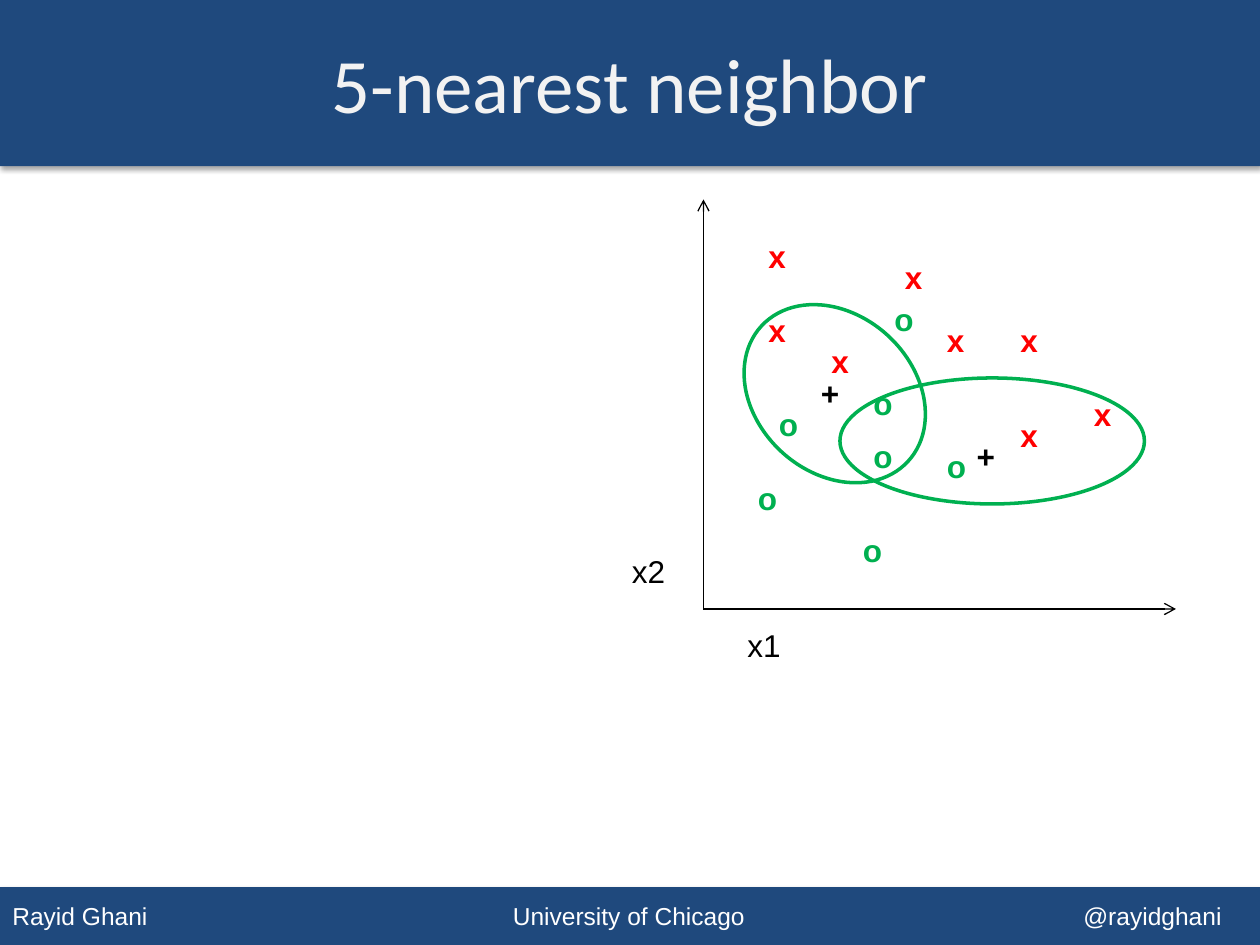
"""Build the 5-nearest neighbor slide."""
from dataclasses import dataclass

from lxml.etree import SubElement as Sub
from pptx import Presentation as Deck
from pptx.dml.color import RGBColor as Rgb
from pptx.enum.shapes import MSO_CONNECTOR as Link, MSO_SHAPE as Kind
from pptx.enum.text import MSO_ANCHOR as Anchor, MSO_AUTO_SIZE as Fit, PP_ALIGN as Align
from pptx.oxml.ns import qn
from pptx.util import Pt


@dataclass(frozen=True)
class Theme:
    navy: Rgb = Rgb(0x1F, 0x49, 0x7D)
    pale: Rgb = Rgb(0xF2, 0xF2, 0xF2)
    white: Rgb = Rgb(255, 255, 255)
    black: Rgb = Rgb(0, 0, 0)
    red: Rgb = Rgb(255, 0, 0)
    green: Rgb = Rgb(0, 0xB0, 0x50)
    head: Pt = Pt(44)
    mark: Pt = Pt(18)
    foot: Pt = Pt(14)
    sans: str = "Arial"
    title: str = "Calibri"


@dataclass(frozen=True)
class Group:
    text: str
    wide: float
    color: Rgb
    bold: bool
    spots: tuple


@dataclass(frozen=True)
class Ring:
    left: float
    top: float
    wide: float
    high: float
    turn: float = 0


LOOK = Theme()
GROUPS = (
    Group("x", 24.5, LOOK.red, True, (
        (534, 180), (576, 180), (576, 234), (618, 222),
        (432, 132), (432, 174), (510, 144), (468, 192))),
    Group("o", 26, LOOK.green, True, (
        (504, 168), (534, 252), (426, 270), (438, 228),
        (486, 300), (492, 246), (492, 216))),
    Group("x2", 34, LOOK.black, False, ((354, 312),)),
    Group("x1", 34, LOOK.black, False, ((420, 354),)),
    Group("+", 25, LOOK.black, True, ((462, 210), (551, 246))),
)
RINGS = (Ring(420, 180, 114, 90, 42.8), Ring(480, 216, 174, 72))
AXES = ((402, 114), (672, 348))
BASE = (402, 348)
TABS = (286, 612)


def apply(obj, form: dict) -> None:
    for name, value in form.items():
        setattr(obj, name, value)


def style(para, size: Pt, color: Rgb, face: str = LOOK.sans, bold: bool = False) -> None:
    apply(para.font, {"size": size, "name": face, "bold": bold})
    para.font.color.rgb = color


def add_band(slide, top: float, high: float):
    band = slide.shapes.add_shape(Kind.RECTANGLE, 0, Pt(top), Pt(720), Pt(high))
    band.shadow.inherit = False
    band.fill.solid()
    band.fill.fore_color.rgb = LOOK.navy
    band.line.fill.background()
    glow = Sub(band._element.spPr.find(qn("a:effectLst")), qn("a:outerShdw"),
               blurRad=str(Pt(3.1)), dist=str(Pt(1.8)), dir="5400000", rotWithShape="0")
    tint = Sub(glow, qn("a:srgbClr"), val=str(LOOK.black))
    Sub(tint, qn("a:alpha"), val="35000")
    return band


def add_foot(slide) -> None:
    frame = add_band(slide, 507, 33).text_frame
    frame.vertical_anchor = Anchor.MIDDLE
    para = frame.paragraphs[0]
    para.text = "Rayid Ghani\tUniversity of Chicago\t@rayidghani"
    para.alignment = Align.LEFT
    stops = Sub(para._p.get_or_add_pPr(), qn("a:tabLst"))
    for stop in TABS:
        Sub(stops, qn("a:tab"), pos=str(Pt(stop)), algn="l")
    style(para, LOOK.foot, LOOK.white)


def add_title(slide) -> None:
    title = slide.shapes.title
    apply(title, {"left": 0, "top": Pt(2), "width": Pt(720), "height": Pt(90)})
    title.text_frame.text = "5-nearest neighbor"
    title.text_frame.vertical_anchor = Anchor.MIDDLE
    para = title.text_frame.paragraphs[0]
    para.alignment = Align.CENTER
    style(para, LOOK.head, LOOK.pale, LOOK.title)
    title._element.getparent().append(title._element)


def add_group(slide, group: Group) -> None:
    for left, top in group.spots:
        box = slide.shapes.add_textbox(Pt(left), Pt(top), Pt(group.wide), Pt(29))
        apply(box.text_frame, {"text": group.text, "word_wrap": False,
                               "auto_size": Fit.SHAPE_TO_FIT_TEXT})
        style(box.text_frame.paragraphs[0], LOOK.mark, group.color, bold=group.bold)


def add_axis(slide, end: tuple) -> None:
    axis = slide.shapes.add_connector(Link.STRAIGHT, *map(Pt, BASE + end))
    axis.line.color.rgb = LOOK.black
    axis.line.width = Pt(0.75)
    Sub(axis.line._get_or_add_ln(), qn("a:tailEnd"), type="arrow")
    Sub(axis._element.spPr, qn("a:effectLst"))


def add_ring(slide, ring: Ring) -> None:
    oval = slide.shapes.add_shape(
        Kind.OVAL, *map(Pt, (ring.left, ring.top, ring.wide, ring.high)))
    oval.rotation = ring.turn
    oval.shadow.inherit = False
    oval.fill.background()
    oval.line.color.rgb = LOOK.green
    oval.line.width = Pt(2)


def main() -> None:
    deck = Deck()
    apply(deck, {"slide_width": Pt(720), "slide_height": Pt(540)})
    slide = deck.slides.add_slide(deck.slide_layouts[5])
    add_foot(slide)
    add_band(slide, 0, 95)
    add_title(slide)
    for group in GROUPS:
        add_group(slide, group)
    for end in AXES:
        add_axis(slide, end)
    for ring in RINGS:
        add_ring(slide, ring)
    deck.save("out.pptx")


if __name__ == "__main__":
    main()
